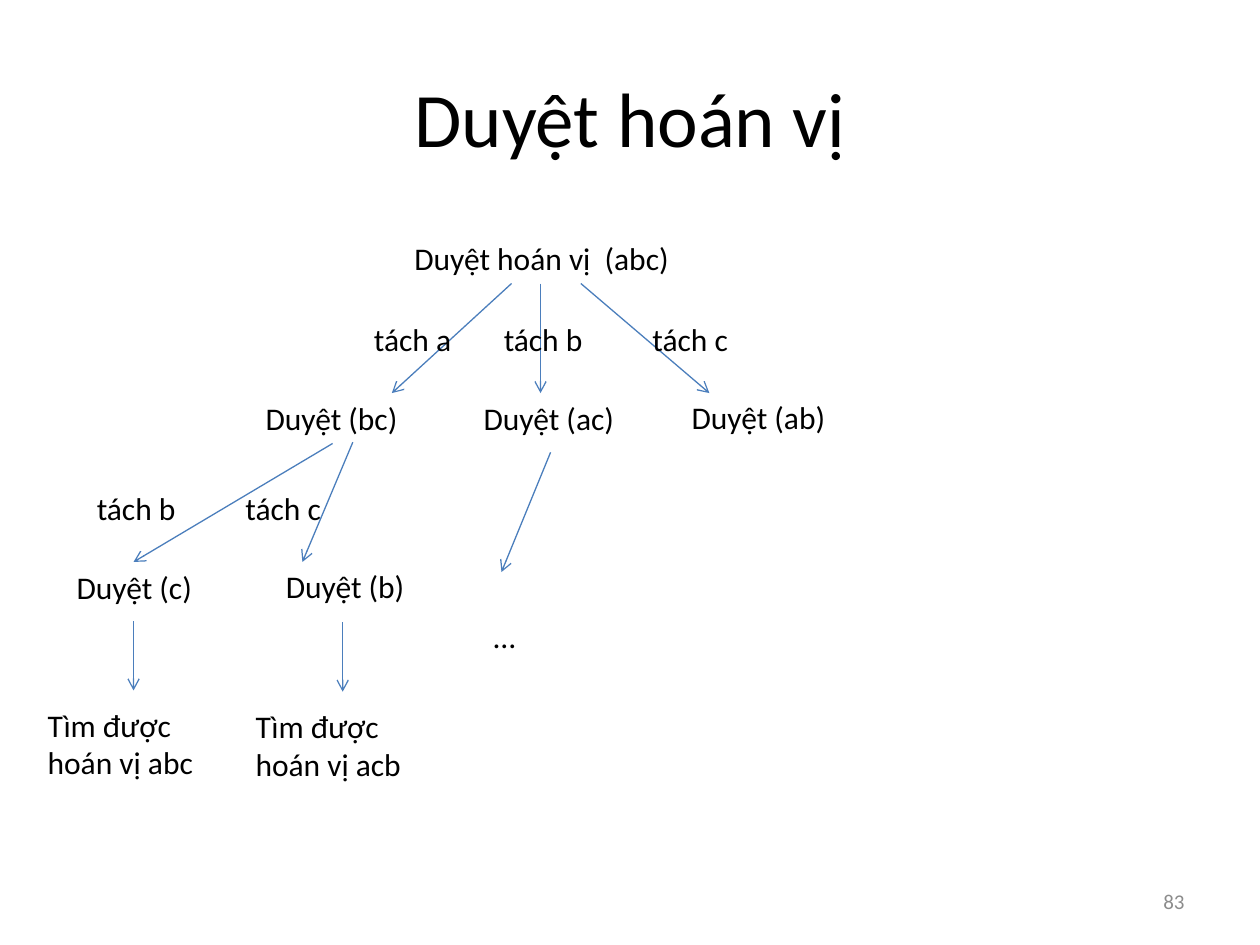
from dataclasses import dataclass

import lxml.etree
import pptx
import pptx.dml.color
import pptx.enum.shapes
import pptx.enum.text
import pptx.oxml.ns
import pptx.util

Inches = pptx.util.Inches
Align = pptx.enum.text.PP_ALIGN
Anchor = pptx.enum.text.MSO_ANCHOR
AutoSize = pptx.enum.text.MSO_AUTO_SIZE

COLORS = {"text": "000000", "arrow": "4B7EBC", "number": "8C8C8C"}
FONT = "Calibri"
LINE_HEIGHT = 0.4
STEP_WIDTH = 0.87
BOTTOM = 2


@dataclass(frozen=True)
class Label:
    text: str
    left: float
    top: float
    width: float
    height: float = LINE_HEIGHT


@dataclass(frozen=True)
class Arrow:
    start: tuple[float, float]
    end: tuple[float, float]
    source: str | None = None  # label whose bottom the arrow leaves from


CALLS = [
    Label("Duyệt hoán vị  (abc)", 3.19, 1.85, 2.36),
    Label("Duyệt (bc)", 2.01, 3.12, 1.26),
    Label("Duyệt (ac)", 3.74, 3.12, 1.26),
    Label("Duyệt (ab)", 5.39, 3.11, 1.42),
    Label("Duyệt (c)", 0.51, 4.46, 1.26),
    Label("Duyệt (b)", 2.17, 4.45, 1.42),
    Label("…", 3.82, 4.85, 0.79),
]
RESULTS = [
    Label("Tìm được hoán vị abc", 0.28, 5.55, 1.5, 0.71),
    Label("Tìm được hoán vị acb", 1.93, 5.56, 1.5, 0.71),
]
STEPS = [
    Label(f"tách {letter}", left, top, STEP_WIDTH)
    for letter, left, top in [
        ("a", 2.87, 2.49),
        ("b", 3.9, 2.49),
        ("c", 5.08, 2.49),
        ("b", 0.67, 3.83),
        ("c", 1.85, 3.83),
    ]
]
ARROWS = [
    Arrow((4.06, 2.25), (3.11, 3.12)),
    Arrow((4.29, 2.25), (4.29, 3.12)),
    Arrow((4.61, 2.25), (5.63, 3.12)),
    Arrow((2.64, 3.52), (1.06, 4.46), source="Duyệt (bc)"),
    Arrow((2.8, 3.51), (2.4, 4.46)),
    Arrow((4.37, 3.59), (3.98, 4.54)),
    Arrow((1.06, 4.93), (1.06, 5.48)),
    Arrow((2.72, 4.94), (2.72, 5.49)),
]


def write_text(shape, text: str, *, size: float = 18, color: str = "text",
               align=Align.LEFT, anchor=Anchor.TOP, auto_size=AutoSize.NONE) -> None:
    frame = shape.text_frame
    frame.word_wrap = True
    frame.auto_size = auto_size
    frame.vertical_anchor = anchor
    paragraph = frame.paragraphs[0]
    paragraph.alignment = align
    run = paragraph.add_run()
    run.text = text
    run.font.name = FONT
    run.font.size = pptx.util.Pt(size)
    run.font.color.rgb = pptx.dml.color.RGBColor.from_string(COLORS[color])


def add_label(slide, label: Label, **text_format):
    shape = slide.shapes.add_textbox(
        Inches(label.left), Inches(label.top), Inches(label.width), Inches(label.height))
    write_text(shape, label.text, **text_format)
    return shape


def add_arrow(slide, arrow: Arrow, shapes: dict) -> None:
    connector = slide.shapes.add_connector(
        pptx.enum.shapes.MSO_CONNECTOR.STRAIGHT,
        *(Inches(value) for value in arrow.start + arrow.end))
    if arrow.source:
        connector.begin_connect(shapes[arrow.source], BOTTOM)
    connector.line.color.rgb = pptx.dml.color.RGBColor.from_string(COLORS["arrow"])
    connector.line.width = pptx.util.Pt(0.75)
    qn = pptx.oxml.ns.qn
    properties = connector._element.spPr
    lxml.etree.SubElement(properties.find(qn("a:ln")), qn("a:tailEnd"), type="arrow")
    lxml.etree.SubElement(properties, qn("a:effectLst"))


def main() -> None:
    presentation = pptx.Presentation()
    presentation.slide_width = Inches(10)
    presentation.slide_height = Inches(7.5)
    slide = presentation.slides.add_slide(presentation.slide_layouts[5])

    title = slide.shapes.title
    title.left, title.top = Inches(0.5), Inches(0.3)
    title.width, title.height = Inches(9), Inches(1.25)
    write_text(title, "Duyệt hoán vị", size=44, align=Align.CENTER, anchor=Anchor.MIDDLE)

    shapes = {
        label.text: add_label(slide, label, auto_size=AutoSize.SHAPE_TO_FIT_TEXT)
        for label in CALLS + RESULTS
    }
    for arrow in ARROWS:
        add_arrow(slide, arrow, shapes)
    for step in STEPS:
        add_label(slide, step, auto_size=AutoSize.SHAPE_TO_FIT_TEXT)

    add_label(slide, Label("83", 7.17, 6.95, 2.33), size=12, color="number",
              align=Align.RIGHT, anchor=Anchor.MIDDLE)
    presentation.save("out.pptx")


if __name__ == "__main__":
    main()
